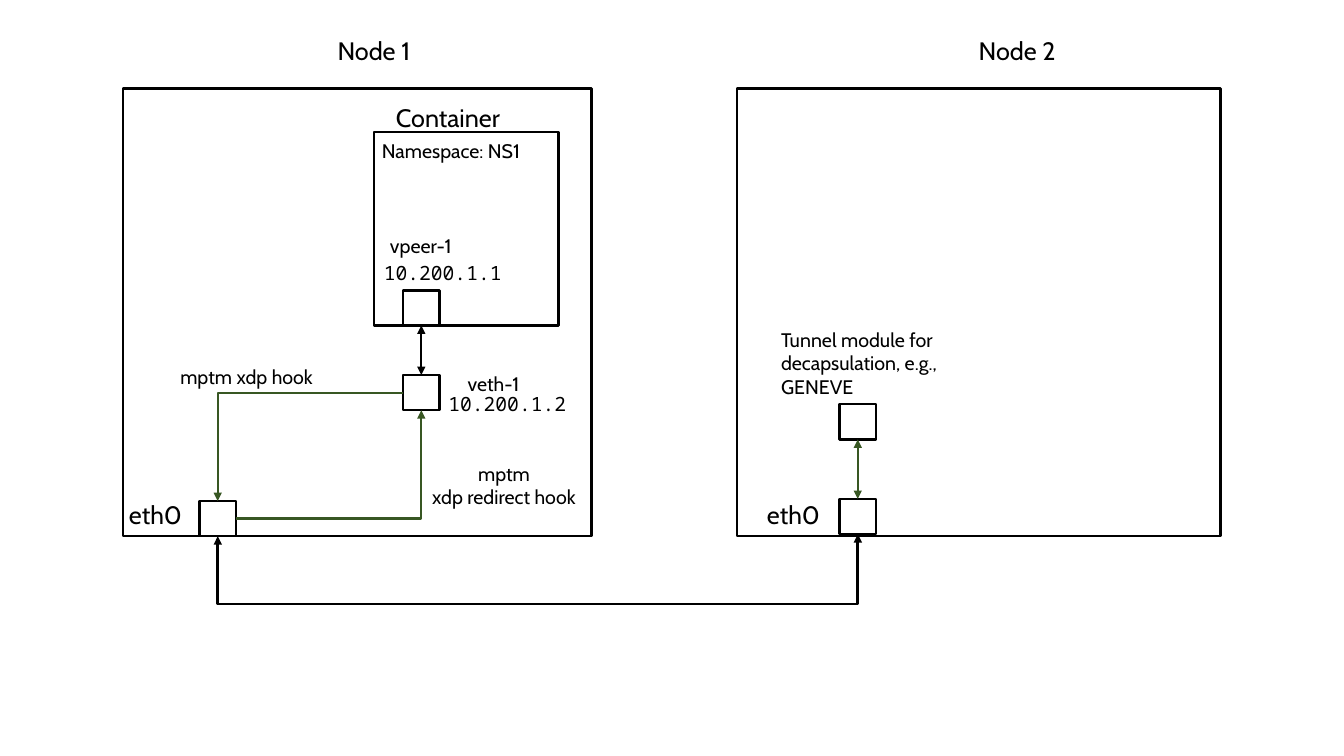
from lxml import etree
from pptx import Presentation, util as u
from pptx.dml.color import RGBColor
from pptx.enum import shapes, text
from pptx.oxml.ns import qn

# Square grid: 40 columns by 22.5 rows
deck = Presentation()
deck.slide_width, deck.slide_height = u.Inches(13.333), u.Inches(7.5)
CELL = deck.slide_width / 40
slide = deck.slides.add_slide(deck.slide_layouts[6])

BLACK, WHITE, GREEN = "000000", "FFFFFF", "385723"
PORT_W, PORT_H = 1.08, 1.05


def colour(hex_string):
    return RGBColor.from_string(hex_string)


def cells(*counts):
    return [u.Emu(round(n * CELL)) for n in counts]


def frame(parent, x, y, w, h):
    """Draw a white box inside its parent; return its place on the slide."""
    box = (parent[0] + x, parent[1] + y, w, h)
    outline = slide.shapes.add_shape(shapes.MSO_SHAPE.RECTANGLE, *cells(*box))
    outline.shadow.inherit = False
    outline.fill.solid()
    outline.fill.fore_color.rgb = colour(WHITE)
    outline.line.color.rgb = colour(BLACK)
    outline.line.width = u.Pt(1.75)
    return box


def port(parent, x, y):
    return frame(parent, x, y, PORT_W, PORT_H)


def label(parent, x, y, w, words, h=None, size=14, font="Cabin",
          align=text.PP_ALIGN.LEFT, wrap=False):
    h = h or (1.2 if size == 18 else 1.02)
    caption = slide.shapes.add_textbox(*cells(parent[0] + x, parent[1] + y, w, h))
    body = caption.text_frame
    body.word_wrap = wrap
    body.auto_size = text.MSO_AUTO_SIZE.SHAPE_TO_FIT_TEXT
    body.text = words
    for line in body.paragraphs:
        line.alignment = align
        line.font.size = u.Pt(size)
        line.font.name = font
        line.font.color.rgb = colour(BLACK)


def address(parent, x, y, words):
    label(parent, x, y, 4.14, words, font="Noto Sans Mono")


def network_port(node, x, y, label_x):
    """Port on the lower edge of a node, with its name to the left."""
    label(node, label_x, 12.06, 2.34, "eth0", size=18)
    return port(node, x, y)


def side(box, name):
    """Midpoint of one side of a box."""
    x, y, w, h = box
    return {"top": (x + w / 2, y), "bottom": (x + w / 2, y + h),
            "left": (x, y + h / 2), "right": (x + w, y + h / 2)}[name]


def link(start, end, line_colour, width=1.5, both=False, preset="line"):
    arrow = slide.shapes.add_connector(
        shapes.MSO_CONNECTOR.STRAIGHT, *cells(*start, *end))
    arrow.line.color.rgb = colour(line_colour)
    arrow.line.width = u.Pt(width)
    properties = arrow._element.spPr
    properties.find(qn("a:prstGeom")).set("prst", preset)
    stroke = properties.find(qn("a:ln"))
    for tip in ("a:headEnd", "a:tailEnd") if both else ("a:tailEnd",):
        etree.SubElement(stroke, qn(tip), type="triangle")
    etree.SubElement(properties, qn("a:effectLst"))
    return arrow


def under_link(left_port, right_port, drop):
    """Two-headed link that runs below both ports, a quarter turn of an elbow."""
    x1, y1 = side(left_port, "bottom")
    x2, y2 = side(right_port, "bottom")
    span, step = x2 - x1, y1 - y2
    left, top = (x1 + x2 - step) / 2, (y1 + y2 - span) / 2
    wire = link((left, top), (left + step, top + span), BLACK,
                width=2, both=True, preset="bentConnector3")
    properties = wire._element.spPr
    placement = properties.find(qn("a:xfrm"))
    for key, value in (("rot", "5400000"), ("flipH", "1"), ("flipV", "1")):
        placement.set(key, value)
    guides = properties.find(qn("a:prstGeom")).get_or_add_avLst()
    etree.SubElement(guides, qn("a:gd"), name="adj1",
                     fmla=f"val {round(-drop / step * 100000)}")


def container(node, x, y):
    """Container with its namespace and peer port; returns the port."""
    box = frame(node, x, y, 5.49, 5.76)
    label(box, 0.36, -1.02, 3.93, "Container", size=18)
    label(box, -0.06, 0.06, 5.16, "Namespace: NS1")
    label(box, 0.18, 2.88, 2.67, "vpeer-1")
    address(box, 0, 3.69, "10.200.1.1")
    return port(box, 0.87, 4.71)


def sending_node(x, y, w, h):
    node = frame((0, 0), x, y, w, h)
    label(node, 6.09, -1.74, 3.06, "Node 1", size=18)
    vpeer = container(node, 7.47, 1.29)

    # Ports outside the container
    eth0 = network_port(node, 2.28, 12.27, label_x=-0.12)
    veth = port(node, 8.34, 8.52)
    label(node, 9.96, 8.28, 2.34, "veth-1")
    address(node, 9.39, 8.88, "10.200.1.2")

    # Traffic between the ports
    link(side(vpeer, "bottom"), side(veth, "top"), BLACK, both=True)
    link(side(veth, "left"), side(eth0, "top"), GREEN, preset="bentConnector2")
    label(node, 1.41, 8.07, 4.74, "mptm xdp hook")
    link(side(eth0, "right"), side(veth, "bottom"), GREEN, preset="bentConnector2")
    label(node, 8.73, 10.95, 5.22, "mptm\nxdp redirect hook", h=1.71,
          align=text.PP_ALIGN.CENTER)
    return eth0


def receiving_node(x, y, w, h):
    node = frame((0, 0), x, y, w, h)
    label(node, 6.9, -1.74, 3.06, "Node 2", size=18)
    eth0 = network_port(node, 3.06, 12.21, label_x=0.6)
    tunnel = port(node, 3.06, 9.39)
    label(node, 1.02, 6.96, 5.31, "Tunnel module for decapsulation, e.g., GENEVE",
          h=2.43, wrap=True)
    link(side(tunnel, "bottom"), side(eth0, "top"), GREEN, both=True)
    return eth0


# Both nodes and the network between them
sender = sending_node(3.66, 2.64, 13.95, 13.32)
receiver = receiving_node(21.93, 2.64, 14.4, 13.32)
under_link(sender, receiver, drop=2.01)

deck.save("out.pptx")
